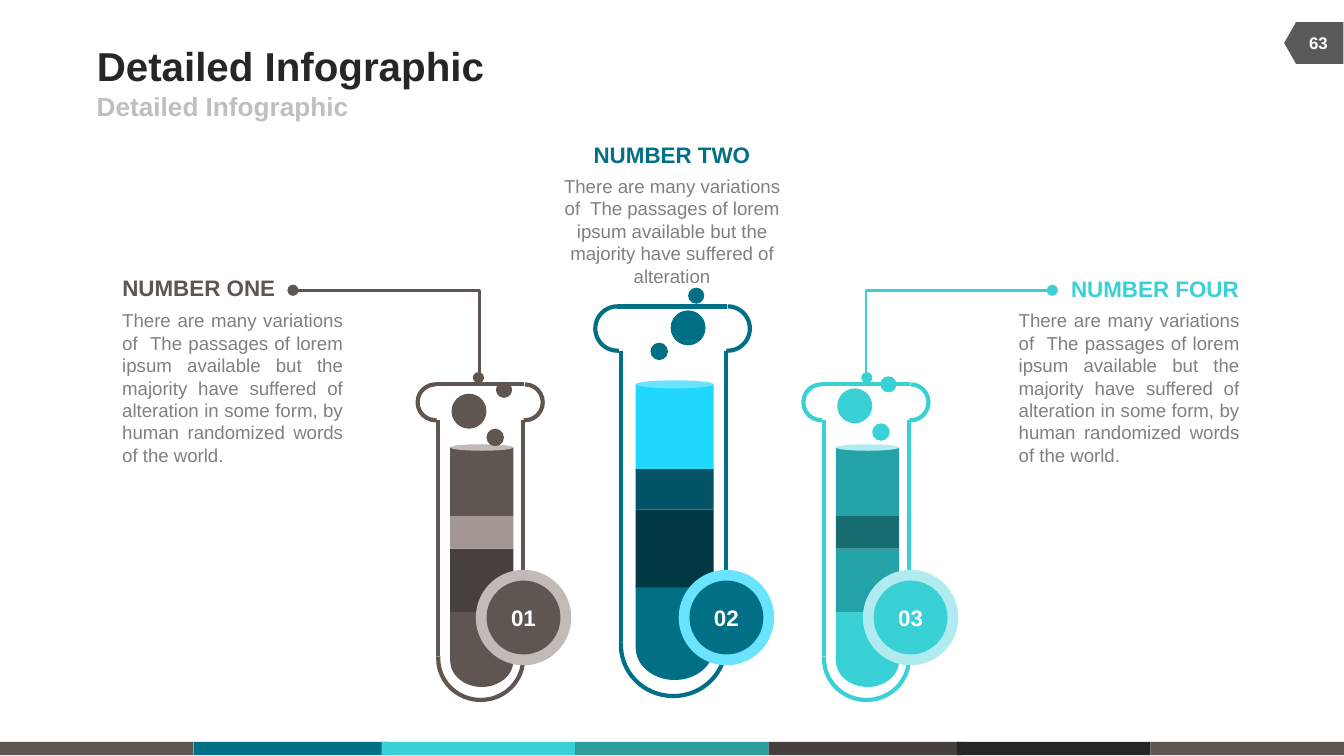
import math
from dataclasses import dataclass
from typing import Any

import lxml.etree
import pptx
import pptx.dml.color
import pptx.enum.shapes
import pptx.enum.text
import pptx.oxml.ns
import pptx.util

Inches = pptx.util.Inches
RGBColor = pptx.dml.color.RGBColor
Shape = pptx.enum.shapes.MSO_SHAPE
Connector = pptx.enum.shapes.MSO_CONNECTOR
Align = pptx.enum.text.PP_ALIGN
Anchor = pptx.enum.text.MSO_ANCHOR
qn = pptx.oxml.ns.qn

BROWN = RGBColor(0x5F, 0x55, 0x51)
BROWN_MIST = RGBColor(0xC2, 0xBA, 0xB7)
BROWN_LIGHT = RGBColor(0xA3, 0x97, 0x93)
BROWN_DARK = RGBColor(0x47, 0x40, 0x3D)
COFFEE = RGBColor(0x47, 0x3F, 0x3C)
BLUE = RGBColor(0x01, 0x6F, 0x86)
BLUE_MIST = RGBColor(0x6A, 0xE4, 0xFE)
BLUE_BRIGHT = RGBColor(0x20, 0xD7, 0xFD)
BLUE_DEEP = RGBColor(0x01, 0x53, 0x65)
BLUE_DARK = RGBColor(0x00, 0x38, 0x43)
AQUA = RGBColor(0x39, 0xD0, 0xD6)
AQUA_MIST = RGBColor(0xB0, 0xEC, 0xEF)
AQUA_MID = RGBColor(0x23, 0xA3, 0xA8)
AQUA_DARK = RGBColor(0x17, 0x6D, 0x70)
TEAL = RGBColor(0x2D, 0x9C, 0x9C)
BLACK = RGBColor(0x26, 0x26, 0x26)
CHARCOAL = RGBColor(0x59, 0x59, 0x59)
GREY = RGBColor(0x80, 0x80, 0x80)
SILVER = RGBColor(0xBF, 0xBF, 0xBF)
WHITE = RGBColor(0xFF, 0xFF, 0xFF)

SHORT_TEXT = ("There are many variations of  The passages of lorem ipsum available "
              "but the majority have suffered of alteration")
LONG_TEXT = SHORT_TEXT + " in some form, by human randomized words of the world."
NO_MARGINS = {f"margin_{side}": 0 for side in ("left", "top", "right", "bottom")}


@dataclass
class Tube:
    left: float
    top: float
    scale: float
    color: RGBColor
    surface: RGBColor
    layers: tuple[RGBColor, RGBColor, RGBColor]


@dataclass
class Badge:
    number: str
    left: float
    color: RGBColor
    ring: RGBColor
    bubbles: list[tuple[float, float, float]]


@dataclass
class Caption:
    heading: str
    heading_box: tuple[float, float, float, float]
    heading_align: Any
    color: RGBColor
    body: str
    body_box: tuple[float, float, float, float]
    body_align: Any


FOOTER = [(0, BROWN), (1.44, BLUE), (2.84, AQUA), (4.28, TEAL),
          (5.72, COFFEE), (7.12, BLACK), (8.56, BROWN)]
TUBES = [
    Tube(4.73, 2.28, 1, BLUE, BLUE_MIST, (BLUE_BRIGHT, BLUE_DARK, BLUE_DEEP)),
    Tube(6.22, 2.86, 0.81, AQUA, AQUA_MIST, (AQUA_MID, AQUA_MID, AQUA_DARK)),
    Tube(3.35, 2.86, 0.81, BROWN, BROWN_MIST, (BROWN, BROWN_DARK, BROWN_LIGHT)),
]
LAYER_SPANS = [(0.58, 0.63), (1.51, 0.58), (1.21, 0.3)]
BADGES = [
    Badge("02", 5.05, BLUE, BLUE_MIST,
          [(4.99, 2.31, 0.26), (4.84, 2.55, 0.13), (5.12, 2.14, 0.12)]),
    Badge("03", 6.42, AQUA, AQUA_MIST,
          [(6.23, 2.89, 0.26), (6.49, 3.15, 0.13), (6.55, 2.8, 0.12)]),
    Badge("01", 3.54, BROWN, BROWN_MIST,
          [(3.36, 2.93, 0.26), (3.62, 3.19, 0.13), (3.69, 2.84, 0.12)]),
]
CAPTIONS = [
    Caption("NUMBER ONE", (0.91, 2.04, 1.15, 0.2), Align.LEFT, BROWN,
            LONG_TEXT, (0.91, 2.3, 1.64, 1.18), Align.JUSTIFY),
    Caption("NUMBER FOUR", (7.96, 2.05, 1.26, 0.2), Align.RIGHT, AQUA,
            LONG_TEXT, (7.58, 2.3, 1.64, 1.18), Align.JUSTIFY),
    Caption("NUMBER TWO", (4.41, 1.05, 1.18, 0.2), Align.CENTER, BLUE,
            SHORT_TEXT, (4.18, 1.3, 1.64, 0.84), Align.CENTER),
]


def apply(target: Any, values: dict[str, Any]) -> None:
    for name, value in values.items():
        setattr(target, name, value)


def write(shape: Any, text: str, size: float, color: RGBColor, align: Any,
          bold: bool = True, **frame: Any) -> None:
    apply(shape.text_frame, frame)
    paragraph = shape.text_frame.paragraphs[0]
    paragraph.text = text
    paragraph.alignment = align
    apply(paragraph.font, {"name": "Arial", "size": pptx.util.Pt(size), "bold": bold})
    paragraph.font.color.rgb = color


def fill(shape: Any, color: RGBColor) -> None:
    shape.shadow.inherit = False
    shape.fill.solid()
    shape.fill.fore_color.rgb = color
    shape.line.fill.background()


def add_filled(shapes: Any, kind: Any, box: tuple, color: RGBColor) -> Any:
    shape = shapes.add_shape(kind, *map(Inches, box))
    fill(shape, color)
    return shape


def add_arc(shapes: Any, box: tuple, color: RGBColor, start: float, end: float,
            rotation: float = 0) -> None:
    arc = shapes.add_shape(Shape.ARC, *map(Inches, box))
    arc.shadow.inherit = False
    arc.fill.background()
    arc.line.color.rgb = color
    arc.line.width = pptx.util.Pt(2.25)
    arc.adjustments[0], arc.adjustments[1] = start, end
    arc.rotation = rotation


def add_line(shapes: Any, kind: Any, points: tuple, color: RGBColor, width: float) -> Any:
    connector = shapes.add_connector(kind, *map(Inches, points))
    connector.line.color.rgb = color
    connector.line.width = pptx.util.Pt(width)
    lxml.etree.SubElement(connector._element.spPr, qn("a:effectLst"))
    return connector


def add_leader(shapes: Any, points: tuple, color: RGBColor) -> None:
    leader = add_line(shapes, Connector.ELBOW, points, color, 1.5)
    properties = leader._element.spPr
    guides = properties.find(qn("a:prstGeom")).get_or_add_avLst()
    lxml.etree.SubElement(guides, qn("a:gd"), name="adj1", fmla="val 100400")
    for end in ("a:headEnd", "a:tailEnd"):
        lxml.etree.SubElement(properties.find(qn("a:ln")), qn(end), type="oval")


def draw_tube(slide: Any, tube: Tube) -> None:
    shapes = slide.shapes.add_group_shape().shapes

    def place(x: float, y: float) -> tuple[float, float]:
        return tube.left + x * tube.scale, tube.top + y * tube.scale

    def box(x: float, y: float, width: float, height: float) -> tuple:
        return *place(x, y), width * tube.scale, height * tube.scale

    curve = [place(0.29 + 0.29 * math.cos(angle), 2.54 + 0.24 * math.sin(angle))
             for angle in (math.pi * step / 36 for step in range(37))]
    points = [tuple(map(Inches, point)) for point in [place(0.58, 2.07), *curve, place(0, 2.07)]]
    builder = shapes.build_freeform(*points[0])
    builder.add_line_segments(points[1:], close=True)
    fill(builder.convert_to_shape(), tube.color)
    for color, (y, height) in zip(tube.layers, LAYER_SPANS):
        add_filled(shapes, Shape.RECTANGLE, box(0, y, 0.58, height), color)
    add_filled(shapes, Shape.OVAL, box(0, 0.55, 0.58, 0.06), tube.surface)
    add_arc(shapes, box(-0.1, 2.13, 0.76, 0.78), tube.color, 162, 55.82, 90)
    add_arc(shapes, box(0.52, 0, 0.33, 0.33), tube.color, 162, 56.2)
    add_arc(shapes, box(-0.3, 0, 0.33, 0.33), tube.color, 51.8, 162)
    for start, end in [((-0.11, 2.5), (-0.11, 0.33)), ((0.67, 2.53), (0.67, 0.33)),
                       ((0.68, 0), (-0.14, 0))]:
        add_line(shapes, Connector.STRAIGHT, (*place(*start), *place(*end)), tube.color, 2.25)


def draw_caption(slide: Any, caption: Caption) -> None:
    shapes = slide.shapes.add_group_shape().shapes
    heading = shapes.add_textbox(*map(Inches, caption.heading_box))
    write(heading, caption.heading, 12, caption.color, caption.heading_align,
          word_wrap=False, **NO_MARGINS)
    body = shapes.add_textbox(*map(Inches, caption.body_box))
    write(body, caption.body, 10, GREY, caption.body_align, False, word_wrap=True, **NO_MARGINS)


def draw_badge(slide: Any, badge: Badge) -> None:
    shapes = slide.shapes.add_group_shape().shapes
    add_filled(shapes, Shape.OVAL, (badge.left, 4.24, 0.71, 0.71), badge.ring)
    disc = add_filled(shapes, Shape.OVAL, (badge.left + 0.08, 4.32, 0.55, 0.55), badge.color)
    write(disc, badge.number, 12, WHITE, Align.CENTER, vertical_anchor=Anchor.MIDDLE)
    bubbles = slide.shapes.add_group_shape().shapes
    for left, top, size in badge.bubbles:
        add_filled(bubbles, Shape.OVAL, (left, top, size, size), badge.color)


def main() -> None:
    presentation = pptx.Presentation()
    presentation.slide_width = Inches(10)
    presentation.slide_height = presentation.slide_width * 9 // 16
    slide = presentation.slides.add_slide(presentation.slide_layouts[5])
    shapes = slide.shapes
    for left, color in FOOTER:
        add_filled(shapes, Shape.RECTANGLE, (left, 5.52, 1.44, 0.1), color)
    tag = add_filled(shapes, Shape.FLOWCHART_OFFPAGE_CONNECTOR, (9.62, 0.1, 0.31, 0.44), CHARCOAL)
    tag.rotation = 90
    title = shapes.title
    apply(title, dict(zip(("left", "top", "width", "height"), map(Inches, (0.72, 0.29, 6.17, 0.39)))))
    line_format = {"word_wrap": False, "vertical_anchor": Anchor.MIDDLE, **NO_MARGINS}
    write(title, "Detailed Infographic", 21.6, BLACK, Align.LEFT,
          auto_size=pptx.enum.text.MSO_AUTO_SIZE.NONE, **line_format)
    subtitle = shapes.add_textbox(*map(Inches, (0.72, 0.68, 4.5, 0.22)))
    write(subtitle, "Detailed Infographic", 14, SILVER, Align.LEFT, **line_format)
    page = shapes.add_textbox(*map(Inches, (9.6, 0.17, 0.42, 0.3)))
    write(page, "63", 9, WHITE, Align.CENTER, word_wrap=True, vertical_anchor=Anchor.MIDDLE)
    for tube in TUBES:
        draw_tube(slide, tube)
    add_leader(shapes, (2.18, 2.16, 3.56, 2.81), BROWN)
    add_leader(shapes, (7.83, 2.16, 6.45, 2.81), AQUA)
    for caption in CAPTIONS:
        draw_caption(slide, caption)
    for badge in BADGES:
        draw_badge(slide, badge)
    presentation.save("out.pptx")


if __name__ == "__main__":
    main()
